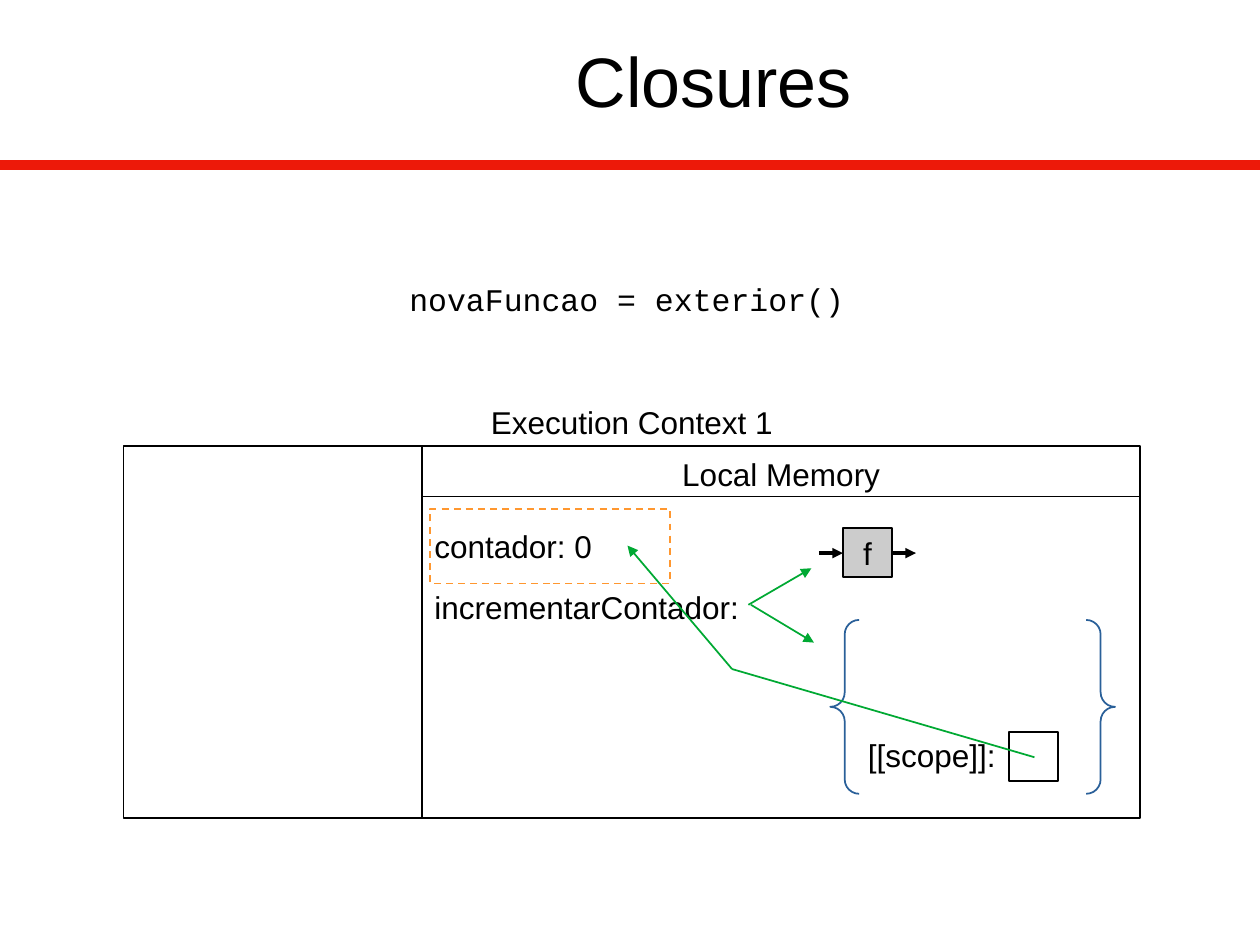
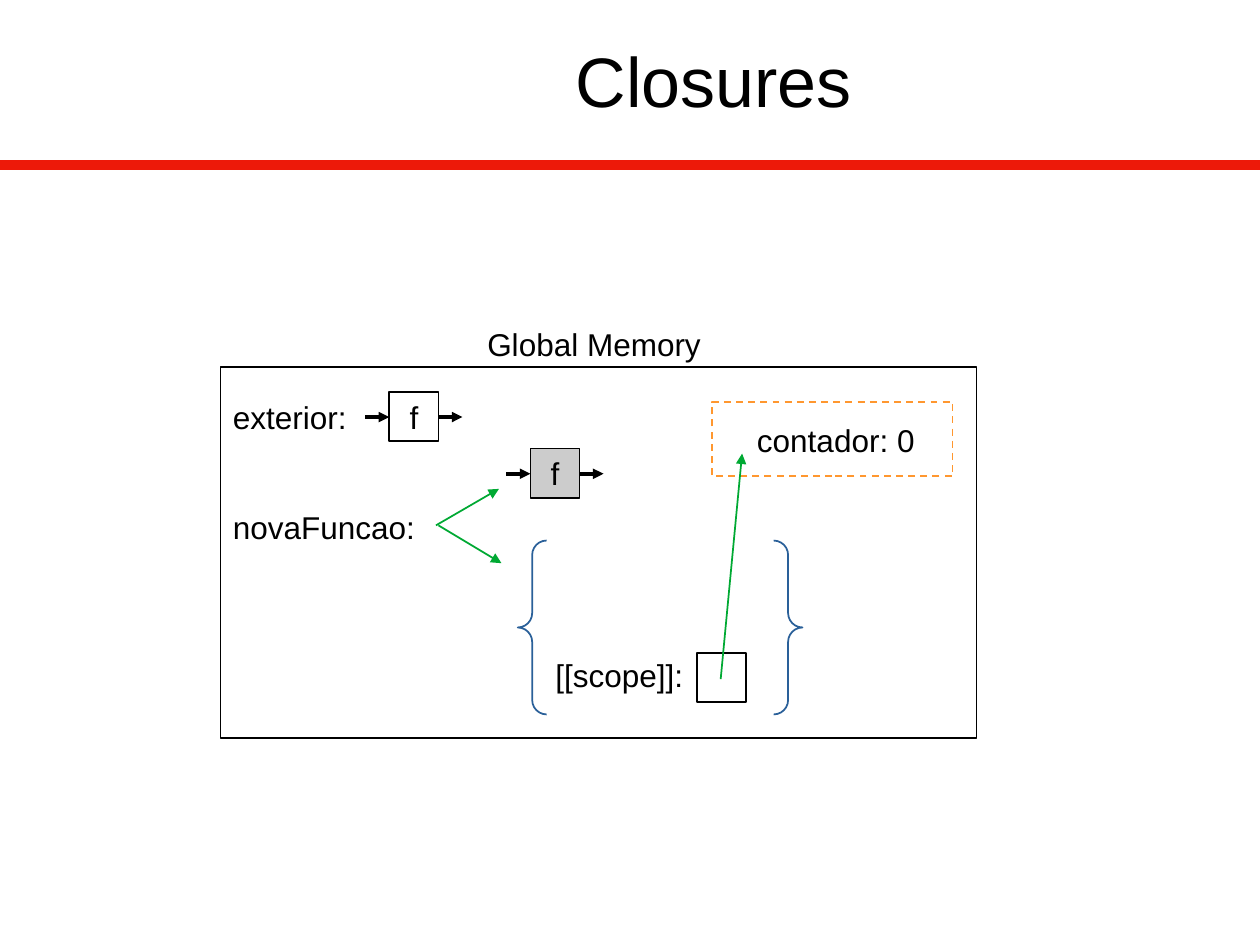
from dataclasses import dataclass
from typing import Optional

import pptx
import pptx.dml.color
import pptx.enum.dml
import pptx.enum.shapes
import pptx.enum.text
import pptx.oxml.ns
import pptx.oxml.xmlchemy
import pptx.util
from lxml import etree
from pptx.dml.color import RGBColor
from pptx.util import Inches

BLACK = RGBColor(0x00, 0x00, 0x00)
RED = RGBColor(0xED, 0x19, 0x09)
GREEN = RGBColor(0x00, 0xA9, 0x33)
BLUE = RGBColor(0x2A, 0x60, 0x99)
ORANGE = RGBColor(0xFF, 0x97, 0x2F)
GRAY = RGBColor(0xCC, 0xCC, 0xCC)

SANS = "Arial"
MONO = "Courier New"
TEXT_SIZE = 18
TITLE_SIZE = 40
LABEL_HEIGHT = 0.4
BOX_SIDE = 0.39
STUB_LENGTH = 0.19
MEMORY_HEIGHT = 2.95

SHAPE = pptx.enum.shapes.MSO_SHAPE
ALIGN = pptx.enum.text.PP_ALIGN
ANCHOR = pptx.enum.text.MSO_ANCHOR


@dataclass
class Label:
    text: str
    left: float
    top: float
    width: float
    align: ALIGN = ALIGN.LEFT
    font: str = SANS


@dataclass
class Line:
    start: tuple[float, float]
    end: tuple[float, float]
    color: RGBColor = BLACK
    width: float = 1
    arrow: bool = False


@dataclass
class Box:
    left: float
    top: float
    width: float
    height: float
    color: RGBColor = BLACK
    fill: Optional[RGBColor] = None
    dashed: bool = False
    preset: SHAPE = SHAPE.RECTANGLE


def style_paragraph(paragraph, size: float, align: ALIGN, font: str = SANS) -> None:
    paragraph.alignment = align
    paragraph.font.size = pptx.util.Pt(size)
    paragraph.font.name = font
    paragraph.font.color.rgb = BLACK


def draw_label(slide, label: Label) -> None:
    text_box = slide.shapes.add_textbox(
        Inches(label.left), Inches(label.top), Inches(label.width), Inches(LABEL_HEIGHT))
    frame = text_box.text_frame
    frame.word_wrap = True
    frame.text = label.text
    style_paragraph(frame.paragraphs[0], TEXT_SIZE, label.align, label.font)


def draw_line(shapes, line: Line) -> None:
    connector = shapes.add_connector(
        pptx.enum.shapes.MSO_CONNECTOR.STRAIGHT,
        *(Inches(value) for value in (*line.start, *line.end)))
    connector.line.color.rgb = line.color
    connector.line.width = pptx.util.Pt(line.width)
    properties = connector._element.spPr
    if line.arrow:
        outline = properties.find(pptx.oxml.ns.qn("a:ln"))
        etree.SubElement(outline, pptx.oxml.ns.qn("a:tailEnd"), type="triangle")
    etree.SubElement(properties, pptx.oxml.ns.qn("a:effectLst"))


def draw_box(shapes, box: Box):
    shape = shapes.add_shape(
        box.preset, Inches(box.left), Inches(box.top), Inches(box.width), Inches(box.height))
    shape.shadow.inherit = False
    if box.fill is None:
        shape.fill.background()
    else:
        shape.fill.solid()
        shape.fill.fore_color.rgb = box.fill
    shape.line.color.rgb = box.color
    shape.line.width = pptx.util.Pt(1)
    if box.dashed:
        shape.line.dash_style = pptx.enum.dml.MSO_LINE.DASH
    return shape


def draw_function(slide, left: float, top: float, fill: Optional[RGBColor] = None) -> None:
    """Draw an "f" box with an arrow entering and an arrow leaving."""
    group = slide.shapes.add_group_shape()
    shape = draw_box(group.shapes, Box(left, top, BOX_SIDE, BOX_SIDE, fill=fill))
    frame = shape.text_frame
    frame.word_wrap = False
    frame.vertical_anchor = ANCHOR.MIDDLE
    frame.text = "f"
    style_paragraph(frame.paragraphs[0], TEXT_SIZE, ALIGN.CENTER)
    middle = top + 0.2
    for start in (left - STUB_LENGTH, left + BOX_SIDE):
        draw_line(group.shapes, Line((start, middle), (start + STUB_LENGTH, middle),
                                     width=0, arrow=True))


def draw_closure(slide, left: float, top: float) -> None:
    """Draw a function with its scope object; left and top place the braces."""
    draw_label(slide, Label("[[scope]]:", left + 0.2, top + 0.87, 2.36))
    draw_box(slide.shapes, Box(left + 1.42, top + 0.89, BOX_SIDE, BOX_SIDE))
    draw_function(slide, left + 0.1, top - 0.73, GRAY)
    braces = draw_box(slide.shapes, Box(left, top, 2.26, 1.38, BLUE, preset=SHAPE.DOUBLE_BRACE))
    braces.adjustments[0] = 0.083
    # Fork from the variable name to the function and to its scope
    for offset, rise in ((-0.65, -0.29), (-0.63, 0.3)):
        start = (left + offset, top - 0.12)
        end = (start[0] + 0.5, start[1] + rise)
        draw_line(slide.shapes, Line(start, end, GREEN, arrow=True))


def draw_captured_frame(slide, left: float, top: float) -> None:
    draw_box(slide.shapes, Box(left, top, 1.91, 0.59, ORANGE, dashed=True))


def add_closures_slide(presentation):
    slide = presentation.slides.add_slide(presentation.slide_layouts[5])
    draw_line(slide.shapes, Line((0, 1.31), (10, 1.31), RED, 6))
    title = slide.shapes.title
    title.left, title.top = Inches(1.53), Inches(-0.09)
    title.width, title.height = Inches(8.27), Inches(1.44)
    frame = title.text_frame
    frame.vertical_anchor = ANCHOR.MIDDLE
    frame.text = "Closures"
    style_paragraph(frame.paragraphs[0], TITLE_SIZE, ALIGN.CENTER)
    return slide


def build_execution_context(presentation) -> None:
    slide = add_closures_slide(presentation)
    left, divider, right, top, header_bottom = 0.98, 3.35, 9.05, 3.54, 3.94

    # Context frame
    draw_box(slide.shapes, Box(left, top, right - left, MEMORY_HEIGHT))
    draw_line(slide.shapes, Line((divider, top), (divider, top + MEMORY_HEIGHT)))
    draw_line(slide.shapes, Line((divider, header_bottom), (right, header_bottom)))

    # Call, headings and variables
    for label in (
        Label("novaFuncao = exterior()", 3.15, 2.17, 3.74, font=MONO),
        Label("Execution Context 1", left, 3.15, right - left, ALIGN.CENTER),
        Label("Local Memory", divider, 3.56, right - divider, ALIGN.CENTER),
        Label("contador: 0", divider, 4.13, 2.36),
        Label("incrementarContador:", divider, 4.62, 2.76),
    ):
        draw_label(slide, label)

    # Closure and its link to the captured variable
    draw_closure(slide, 6.59, 4.92)
    draw_captured_frame(slide, 3.41, 4.04)
    bend = (5.81, 5.31)
    draw_line(slide.shapes, Line(bend, (4.98, 4.33), GREEN, arrow=True))
    draw_line(slide.shapes, Line(bend, (8.21, 6.01), GREEN))


def build_global_memory(presentation) -> None:
    slide = add_closures_slide(presentation)
    left = 1.75

    # Memory frame and variables
    draw_box(slide.shapes, Box(left, 2.91, 6, MEMORY_HEIGHT))
    for label in (
        Label("Global Memory", left, 2.53, 5.93, ALIGN.CENTER),
        Label("exterior:", left, 3.11, 2.36),
        Label("novaFuncao:", left, 3.98, 2.36),
        Label("contador: 0", 5.91, 3.29, 1.77),
    ):
        draw_label(slide, label)
    draw_function(slide, 3.09, 3.11)

    # Closure and its link to the captured variable
    draw_closure(slide, 4.11, 4.29)
    draw_captured_frame(slide, 5.65, 3.19)
    draw_line(slide.shapes, Line((5.72, 5.39), (5.89, 3.6), GREEN, arrow=True))


def main() -> None:
    presentation = pptx.Presentation()
    presentation.slide_width = Inches(10)
    presentation.slide_height = Inches(7.5)
    build_execution_context(presentation)
    build_global_memory(presentation)
    presentation.save("out.pptx")


if __name__ == "__main__":
    main()
